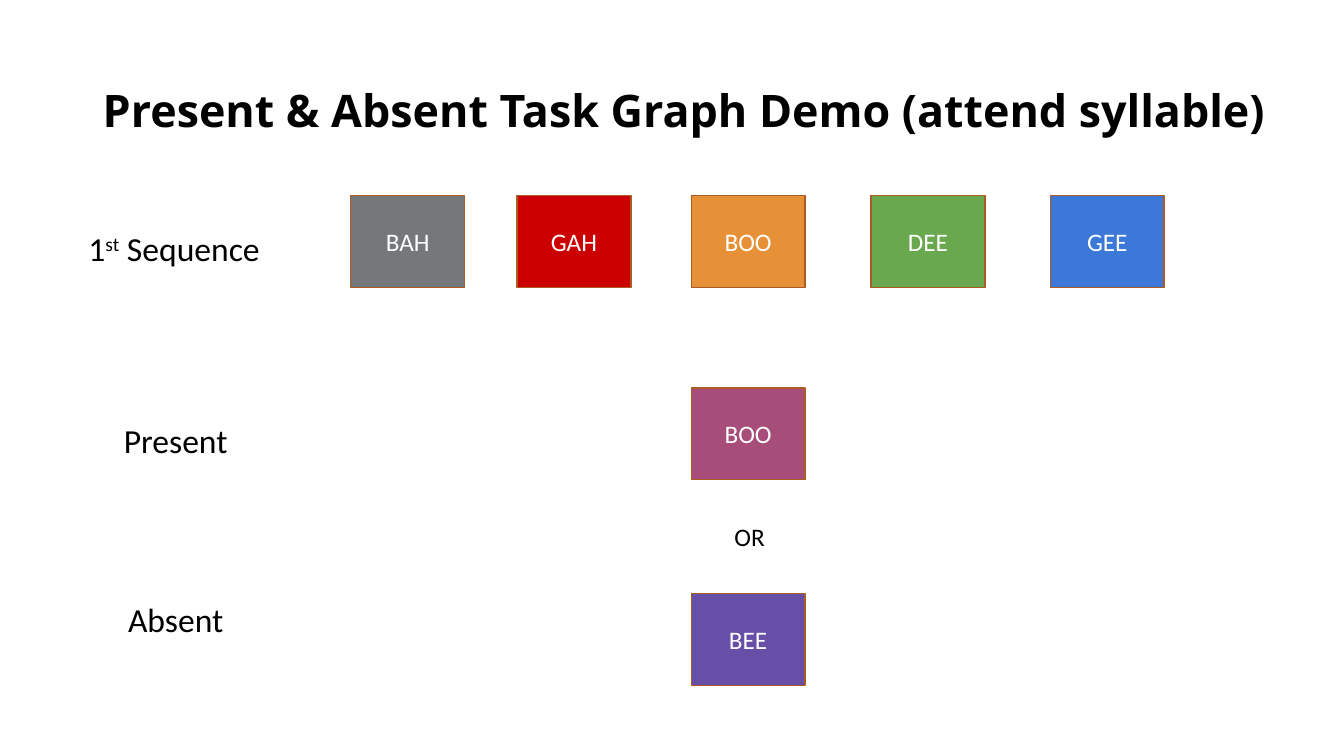
from pptx import Presentation
from pptx.dml.color import RGBColor
from pptx.enum.shapes import MSO_SHAPE
from pptx.enum.text import MSO_ANCHOR, PP_ALIGN
from pptx.util import Cm, Pt

COLOURS = {
    "text": "000000",
    "syllable": "FFFFFF",
    "outline": "AC5B23",
    "grey": "75787B",
    "red": "CC0000",
    "orange": "E69138",
    "green": "6AA84F",
    "blue": "3C78D8",
    "plum": "A64D79",
    "violet": "674EA7",
}
TITLE_FONT = {"name": "Open Sans", "size": Pt(32), "bold": True}
LABEL_FONT = {"name": "Calibri", "size": Pt(24)}
SYLLABLE_FONT = {"name": "Calibri", "size": Pt(18)}
SEQUENCE_TOP = 4.93
PROBE_LEFT = 17.42
SEQUENCE = [
    ("BAH", "grey", 8.84),
    ("GAH", "red", 13.03),
    ("BOO", "orange", PROBE_LEFT),
    ("DEE", "green", 21.95),
    ("GEE", "blue", 26.47),
]
PROBES = [("BOO", "plum", 9.78), ("BEE", "violet", 14.96)]
ROW_LABELS = [
    ([("1", 0), ("st", 30000), (" Sequence", 0)], 5.61, PP_ALIGN.LEFT),
    ([("Present", 0)], 10.46, PP_ALIGN.CENTER),
    ([("Absent", 0)], 14.96, PP_ALIGN.CENTER),
]


def colour(name):
    """Return the named palette colour."""
    return RGBColor.from_string(COLOURS[name])


def write(frame, pieces, font, ink, align, anchor):
    """Fill a text frame with (text, baseline) pieces in one paragraph."""
    frame.word_wrap = True
    frame.vertical_anchor = anchor
    paragraph = frame.paragraphs[0]
    paragraph.alignment = align
    for text, baseline in pieces:
        run = paragraph.add_run()
        run.text = text
        for key, value in font.items():
            setattr(run.font, key, value)
        run.font.color.rgb = colour(ink)
        if baseline:
            run._r.get_or_add_rPr().set("baseline", str(baseline))
    return paragraph


def add_label(slide, pieces, place, font, align=PP_ALIGN.LEFT, anchor=MSO_ANCHOR.TOP):
    """Add a text box at left, top, width, height in centimetres."""
    label = slide.shapes.add_textbox(*map(Cm, place))
    return write(label.text_frame, pieces, font, "text", align, anchor)


def add_syllable(slide, syllable, fill, left, top):
    """Add one coloured syllable box."""
    box = slide.shapes.add_shape(
        MSO_SHAPE.RECTANGLE, Cm(left), Cm(top), Cm(2.87), Cm(2.31))
    box.shadow.inherit = False
    box.fill.solid()
    box.fill.fore_color.rgb = colour(fill)
    box.line.color.rgb = colour("outline")
    box.line.width = Pt(1)
    write(box.text_frame, [(syllable, 0)], SYLLABLE_FONT, "syllable",
          PP_ALIGN.CENTER, MSO_ANCHOR.MIDDLE)


def main():
    """Build the task demo slide and save it."""
    deck = Presentation()
    deck.slide_width, deck.slide_height = Cm(33.87), Cm(19.05)
    slide = deck.slides.add_slide(deck.slide_layouts[6])

    title = add_label(
        slide, [("Present & Absent Task Graph Demo (attend syllable)", 0)],
        (2.34, 1.02, 30.1, 3.68), TITLE_FONT, anchor=MSO_ANCHOR.MIDDLE)
    title.line_spacing = 0.9

    for syllable, fill, left in SEQUENCE:
        add_syllable(slide, syllable, fill, left, SEQUENCE_TOP)
    for syllable, fill, top in PROBES:
        add_syllable(slide, syllable, fill, PROBE_LEFT, top)
    add_label(slide, [("OR", 0)], (18.26, 13, 1.37, 1.02), SYLLABLE_FONT)
    for pieces, top, align in ROW_LABELS:
        add_label(slide, pieces, (1.98, top, 4.9, 1.27), LABEL_FONT, align)

    deck.save("out.pptx")


if __name__ == "__main__":
    main()
